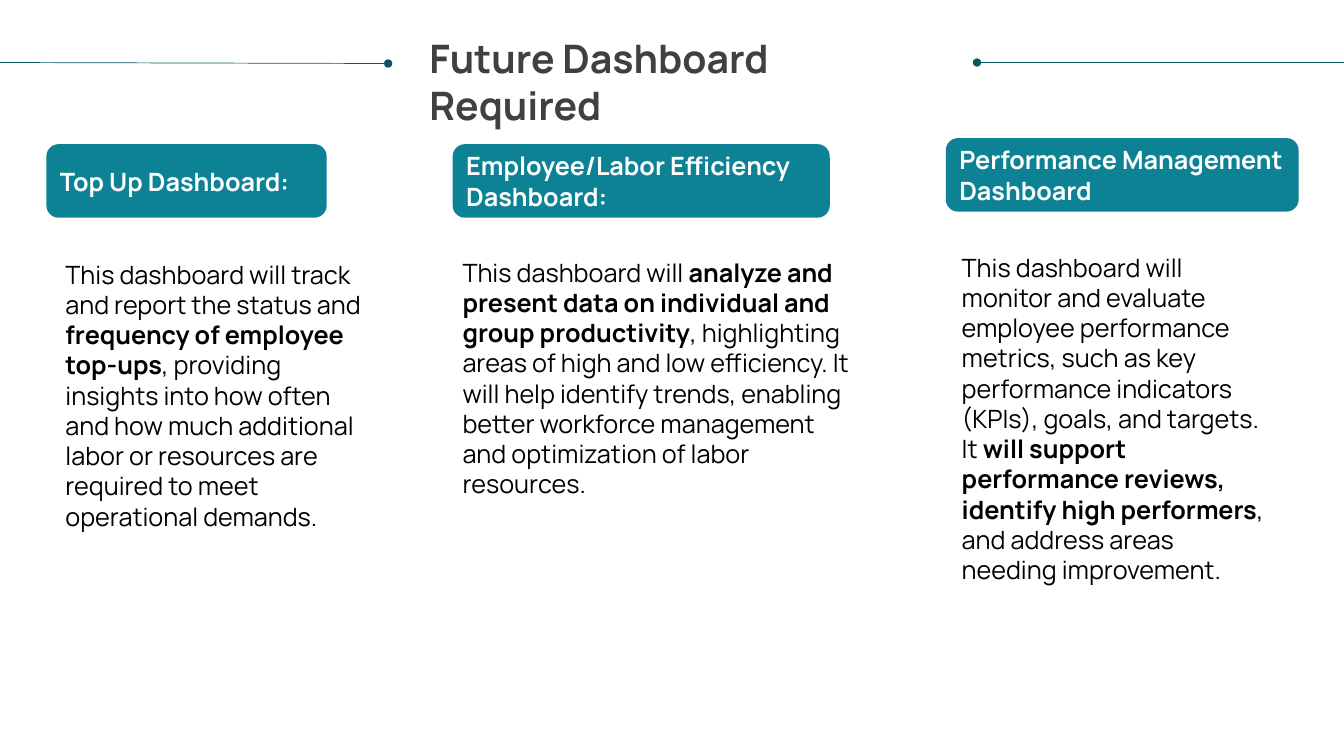
from lxml.etree import SubElement
from pptx import Presentation
from pptx.dml.color import RGBColor
from pptx.enum.shapes import MSO_CONNECTOR as Connector, MSO_SHAPE as Shape
from pptx.enum.text import MSO_ANCHOR as Anchor, PP_ALIGN as Align
from pptx.oxml.ns import qn
from pptx.util import Inches, Pt

WIDTH, HEIGHT = Inches(13.33), Inches(7.5)
FONT = "Manrope"
TEAL = RGBColor(0x0D, 0x82, 0x95)
DARK_TEAL = RGBColor(0x08, 0x57, 0x64)
GRAY = RGBColor(0x40, 0x40, 0x40)
BLACK = RGBColor(0x00, 0x00, 0x00)
WHITE = RGBColor(0xFF, 0xFF, 0xFF)

# Places are left, top, width, height in percent of the slide;
# the body has three parts, and the middle one is bold.
DASHBOARDS = [
    ("Top Up Dashboard:", (3.45, 19.07, 20.86, 9.73),
     ("This dashboard will track and report the status and ",
      "frequency of employee top-ups",
      ", providing insights into how often and how much additional labor or "
      "resources are required to meet operational demands."),
     (4.13, 33.6, 24.38, 44.93)),
    ("Employee/Labor Efficiency Dashboard:", (33.68, 19.07, 28.06, 9.73),
     ("This dashboard will ",
      "analyze and present data on individual and group productivity",
      ", highlighting areas of high and low efficiency. It will help identify "
      "trends, enabling better workforce management and optimization of labor "
      "resources."),
     (33.68, 33.33, 30.31, 37.73)),
    ("Performance Management Dashboard", (70.37, 18.27, 26.26, 9.73),
     ("This dashboard will monitor and evaluate employee performance metrics, "
      "such as key performance indicators (KPIs), goals, and targets. It ",
      "will support performance reviews, identify high performers",
      ", and address areas needing improvement."),
     (70.82, 32.67, 24.61, 45.73)),
]


def across(percent):
    return round(WIDTH * percent / 100)


def down(percent):
    return round(HEIGHT * percent / 100)


def box(place):
    left, top, width, height = place
    return across(left), down(top), across(width), down(height)


def write_run(paragraph, text, size, color, bold):
    run = paragraph.add_run()
    run.text = text
    run.font.name = FONT
    run.font.size = Pt(size)
    run.font.bold = bold
    run.font.color.rgb = color


def add_text(slide, place, parts, size, color):
    """Add a text box; parts are pairs of text and boldness."""
    text_frame = slide.shapes.add_textbox(*box(place)).text_frame
    text_frame.word_wrap = True
    for text, bold in parts:
        write_run(text_frame.paragraphs[0], text, size, color, bold)


def add_heading(slide, place, text):
    shape = slide.shapes.add_shape(Shape.ROUNDED_RECTANGLE, *box(place))
    shape.shadow.inherit = False
    shape.fill.solid()
    shape.fill.fore_color.rgb = TEAL
    shape.line.fill.background()
    shape.text_frame.word_wrap = True
    shape.text_frame.vertical_anchor = Anchor.MIDDLE
    paragraph = shape.text_frame.paragraphs[0]
    paragraph.alignment = Align.LEFT
    write_run(paragraph, text, 18, WHITE, True)


def add_dotted_end_line(slide, dot, edge):
    """Draw a line from its round end to the edge of the slide."""
    connector = slide.shapes.add_connector(
        Connector.STRAIGHT, across(dot[0]), down(dot[1]),
        across(edge[0]), down(edge[1]))
    connector.line.color.rgb = DARK_TEAL
    connector.line.width = Pt(0.5)
    SubElement(connector.line._get_or_add_ln(), qn("a:headEnd"), type="oval")
    SubElement(connector._element.spPr, qn("a:effectLst"))


def main():
    presentation = Presentation()
    presentation.slide_width, presentation.slide_height = WIDTH, HEIGHT
    slide = presentation.slides.add_slide(presentation.slide_layouts[6])

    add_dotted_end_line(slide, (28.88, 8.4), (0, 8.27))
    add_dotted_end_line(slide, (72.69, 8.27), (100, 8.27))
    add_text(slide, (31.21, 3.87, 39.16, 7.6),
             [("Future Dashboard Required", True)], 28, GRAY)
    for heading, heading_place, body, body_place in DASHBOARDS:
        add_heading(slide, heading_place, heading)
        add_text(slide, body_place, zip(body, (False, True, False)), 18, BLACK)

    presentation.save("out.pptx")


if __name__ == "__main__":
    main()
